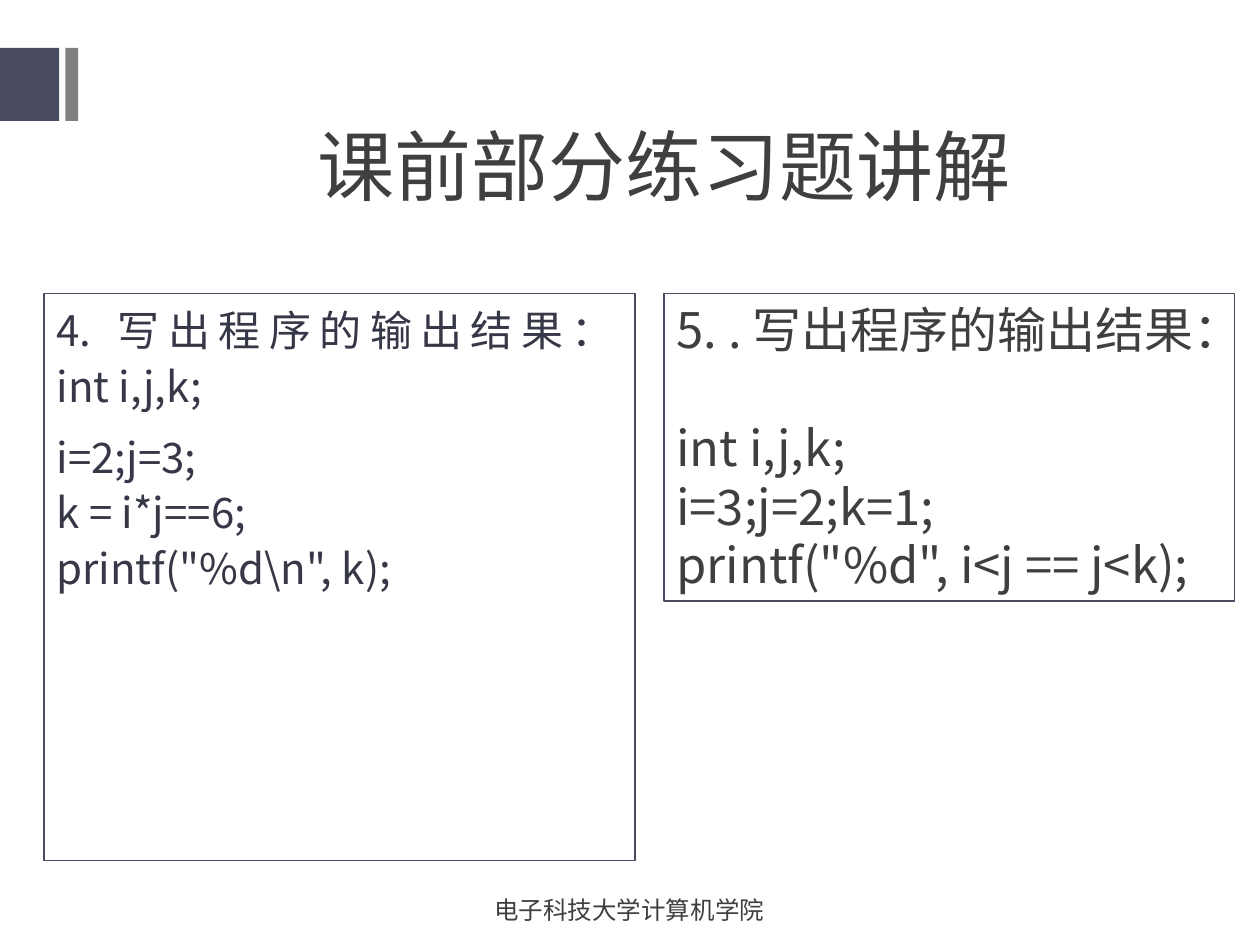
from pptx import Presentation
from pptx.dml.color import RGBColor
from pptx.enum.shapes import MSO_SHAPE
from pptx.enum.text import MSO_ANCHOR, MSO_AUTO_SIZE, PP_ALIGN
from pptx.oxml.ns import qn
from pptx.util import Inches, Pt

RECTANGLE = MSO_SHAPE.RECTANGLE
TOP, MIDDLE = MSO_ANCHOR.TOP, MSO_ANCHOR.MIDDLE
LEFT, CENTER, JUSTIFY = PP_ALIGN.LEFT, PP_ALIGN.CENTER, PP_ALIGN.JUSTIFY
SLATE = RGBColor(0x48, 0x4A, 0x5F)
GRAY = RGBColor(0x7F, 0x7F, 0x7F)
INK = RGBColor(0x36, 0x37, 0x47)
CHARCOAL = RGBColor(0x3D, 0x3F, 0x41)
CJK_FONT = "Noto Sans CJK SC"


def add_rectangle(left, top, width, height):
    box = page.shapes.add_shape(
        RECTANGLE, Inches(left), Inches(top), Inches(width), Inches(height))
    box.shadow.inherit = False
    return box


def write_lines(box, anchor, align, lines, size, font, color, pitch=None):
    """Fill a box; each item of lines is one paragraph's list of lines."""
    frame = box.text_frame
    frame.word_wrap = True
    frame.vertical_anchor = anchor
    for number, para_lines in enumerate(lines):
        para = frame.add_paragraph() if number else frame.paragraphs[0]
        para.alignment = LEFT if number else align
        para.space_before = Pt(9 if number else 0)
        if pitch:
            para.line_spacing = Pt(pitch)
        for row, words in enumerate(para_lines):
            if row:
                para.add_line_break()
            span = para.add_run()
            span.text = words
            span.font.size = Pt(size)
            span.font.name = font
            span.font.color.rgb = color
            east_asian = span.font._element.makeelement(
                qn("a:ea"), {"typeface": CJK_FONT})
            span.font._element.find(qn("a:latin")).addnext(east_asian)


deck = Presentation()
deck.slide_width, deck.slide_height = Inches(10), Inches(7.5)
page = deck.slides.add_slide(deck.slide_layouts[6])

for left, width, color in [(0, 0.47, SLATE), (0.52, 0.1, GRAY)]:
    bar = add_rectangle(left, 0.38, width, 0.58)
    bar.fill.solid()
    bar.fill.fore_color.rgb = color
    bar.line.fill.background()

exercise_4 = [
    ["4. 写出程序的输出结果：", "int i,j,k;"],
    ["i=2;j=3;", "k = i*j==6;", 'printf("%d\\n", k);'],
]
exercise_5 = [
    ["5. . 写出程序的输出结果：", "int i,j,k;", "i=3;j=2;k=1;",
     'printf("%d", i<j == j<k);'],
]
exercises = [
    (0.35, 4.69, 4.5, JUSTIFY, exercise_4, 24, INK, 31.7),
    (5.27, 4.53, 2.44, LEFT, exercise_5, 28, CHARCOAL, 33.6),
]
for left, width, height, align, lines, size, color, pitch in exercises:
    box = add_rectangle(left, 2.33, width, height)
    box.fill.background()
    box.line.color.rgb = SLATE
    box.line.width = Pt(0.75)
    write_lines(box, TOP, align, lines, size, CJK_FONT, color, pitch)
box.text_frame.auto_size = MSO_AUTO_SIZE.SHAPE_TO_FIT_TEXT

captions = [
    (3.31, 7.02, 3.37, 0.4, "电子科技大学计算机学院", 14, "Times New Roman"),
    (1.02, 0.68, 8.5, 1.25, "课前部分练习题讲解", 44, "Calibri"),
]
for left, top, width, height, words, size, font in captions:
    caption = page.shapes.add_textbox(
        Inches(left), Inches(top), Inches(width), Inches(height))
    write_lines(caption, MIDDLE, CENTER, [[words]], size, font, CHARCOAL)

deck.save("out.pptx")
